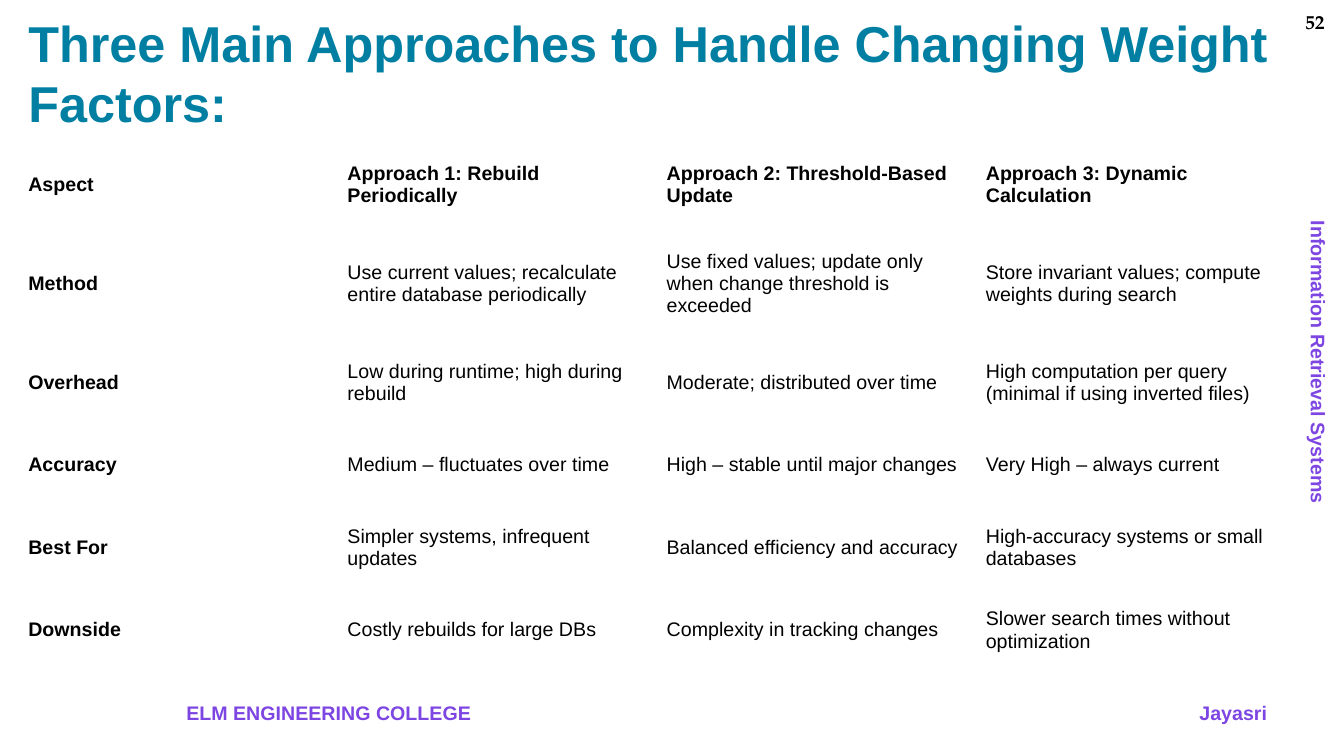
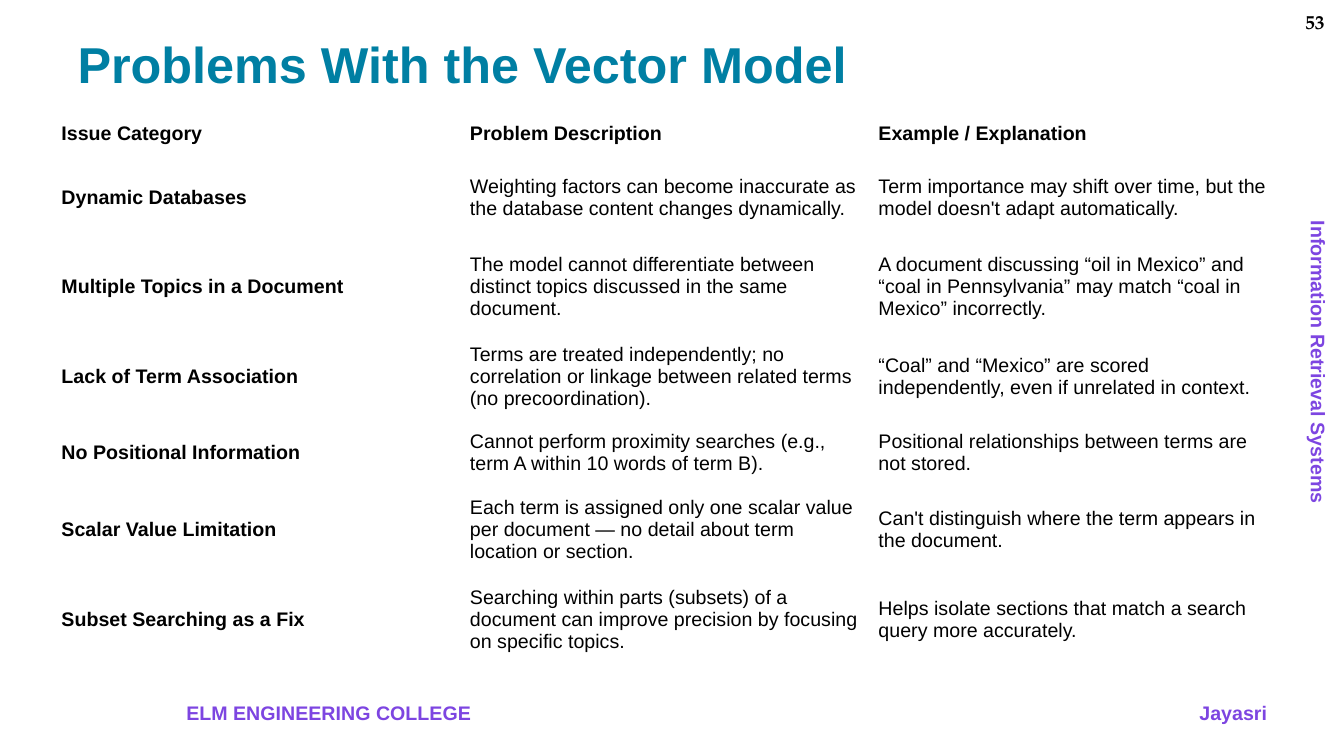
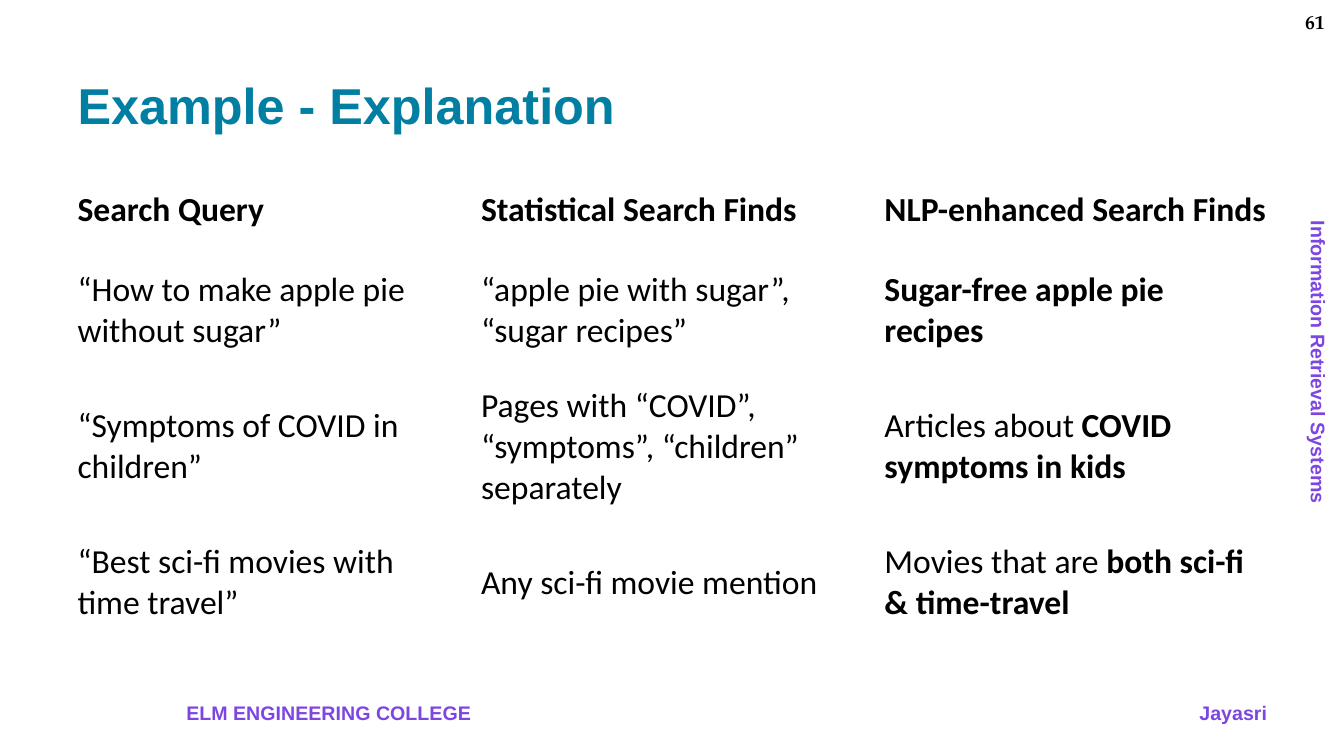
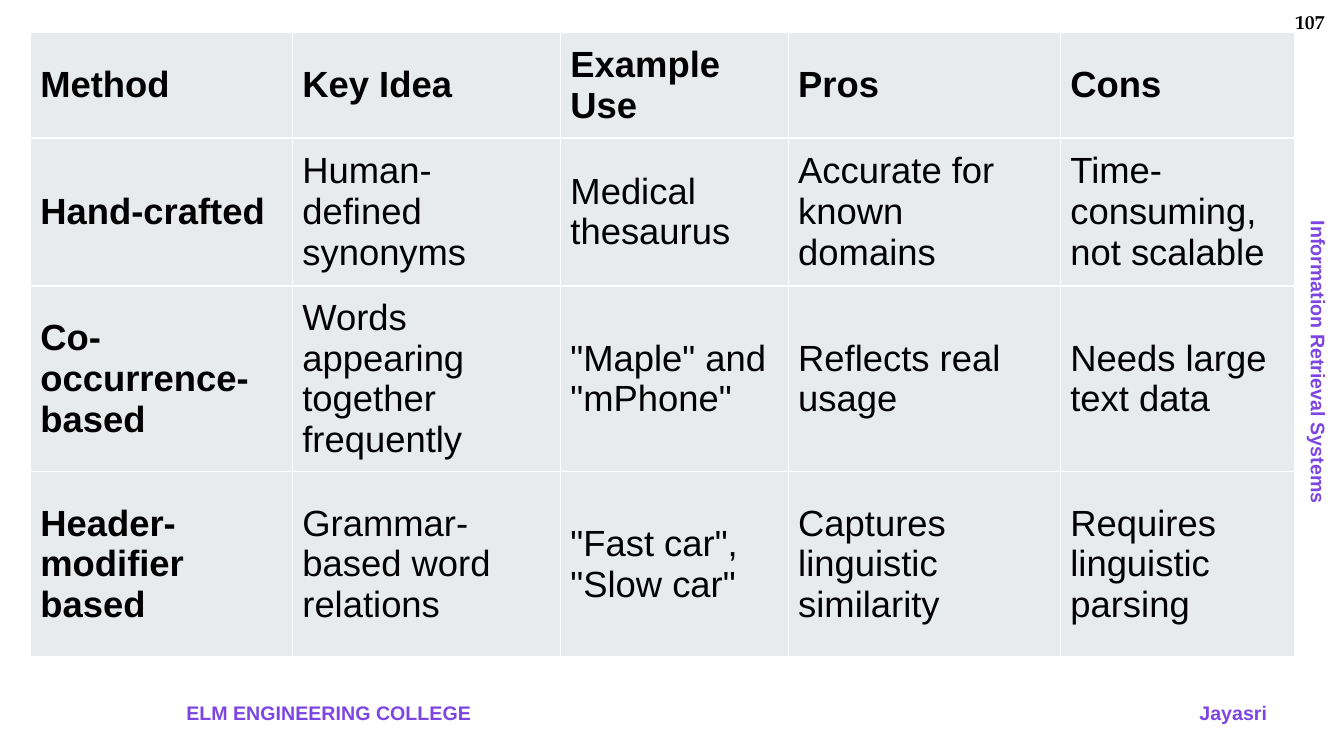
from pptx import Presentation
from pptx.dml.color import RGBColor
from pptx.enum.text import MSO_ANCHOR, MSO_AUTO_SIZE, PP_ALIGN
from pptx.util import Pt

TITLE_COLOR, FOOTER_COLOR, INK = "007FA3", "7D45E1", "000000"
WHITE, PALE_GRAY = "FFFFFF", "E8EBEC"
TITLE_ONLY, BLANK = 5, 6

# text, box (left, top, width, height), alignment, rotation
FOOTERS = [
    ("Jayasri", (651.6, 496.8, 260.6, 24.5), PP_ALIGN.RIGHT, 0),
    ("ELM ENGINEERING COLLEGE", (126, 496.8, 340.6, 24.5), PP_ALIGN.LEFT, 0),
    ("Information Retrieval Systems", (833, 247, 217.4, 24.5), PP_ALIGN.LEFT, 90),
]
NUMBER_BOX = (900, 3.6, 53.3, 24.5)

# Text between ** marks is bold; the header row is always bold.
SLIDES = [
    {
        "number": "52",
        "title": "Three Main Approaches to Handle Changing Weight Factors:",
        "title_box": (13, 15.8, 912.2, 86.4),
        "origin": (13, 102.2), "columns": [228] * 4,
        "heights": [59, 82.5] + [59] * 4,
        "font": "Arial", "size": 14, "fill": WHITE, "bold_labels": True,
        "rows": [
            ("Aspect", "Approach 1: Rebuild Periodically",
             "Approach 2: Threshold-Based Update", "Approach 3: Dynamic Calculation"),
            ("Method", "Use current values; recalculate entire database periodically",
             "Use fixed values; update only when change threshold is exceeded",
             "Store invariant values; compute weights during search"),
            ("Overhead", "Low during runtime; high during rebuild",
             "Moderate; distributed over time",
             "High computation per query (minimal if using inverted files)"),
            ("Accuracy", "Medium – fluctuates over time",
             "High – stable until major changes", "Very High – always current"),
            ("Best For", "Simpler systems, infrequent updates",
             "Balanced efficiency and accuracy", "High-accuracy systems or small databases"),
            ("Downside", "Costly rebuilds for large DBs",
             "Complexity in tracking changes", "Slower search times without optimization"),
        ],
    },
    {
        "number": "53",
        "title": "Problems With the Vector Model",
        "title_box": (48.2, 17.3, 864, 56.9),
        "origin": (36.7, 82), "columns": [291.8] * 3,
        "heights": [27, 64, 64, 64, 45.5, 64, 64],
        "font": "Arial", "size": 14, "fill": WHITE, "bold_labels": True,
        "rows": [
            ("Issue Category", "Problem Description", "Example / Explanation"),
            ("Dynamic Databases",
             "Weighting factors can become inaccurate as the database content changes dynamically.",
             "Term importance may shift over time, but the model doesn't adapt automatically."),
            ("Multiple Topics in a Document",
             "The model cannot differentiate between distinct topics discussed in the same document.",
             "A document discussing “oil in Mexico” and “coal in Pennsylvania” may match "
             "“coal in Mexico” incorrectly."),
            ("Lack of Term Association",
             "Terms are treated independently; no correlation or linkage between related terms "
             "(no precoordination).",
             "“Coal” and “Mexico” are scored independently, even if unrelated in context."),
            ("No Positional Information",
             "Cannot perform proximity searches (e.g., term A within 10 words of term B).",
             "Positional relationships between terms are not stored."),
            ("Scalar Value Limitation",
             "Each term is assigned only one scalar value per document — no detail about term "
             "location or section.",
             "Can't distinguish where the term appears in the document."),
            ("Subset Searching as a Fix",
             "Searching within parts (subsets) of a document can improve precision by focusing "
             "on specific topics.",
             "Helps isolate sections that match a search query more accurately."),
        ],
    },
    {
        "number": "61",
        "title": "Example - Explanation",
        "title_box": (48.2, 17.3, 864, 86.4),
        "origin": (48.2, 113.8), "columns": [288.2] * 3,
        "heights": [72, 72, 122.4, 72],
        "font": "Calibri", "size": 24, "fill": WHITE, "bold_labels": False,
        "rows": [
            ("Search Query", "Statistical Search Finds", "NLP-enhanced Search Finds"),
            ("“How to make apple pie without sugar”",
             "“apple pie with sugar”, “sugar recipes”", "**Sugar-free apple pie recipes**"),
            ("“Symptoms of COVID in children”",
             "Pages with “COVID”, “symptoms”, “children” separately",
             "Articles about **COVID symptoms in kids**"),
            ("“Best sci-fi movies with time travel”", "Any sci-fi movie mention",
             "Movies that are **both sci-fi & time-travel**"),
        ],
    },
    {
        "number": "107",
        "title": None,
        "origin": (21.6, 23), "columns": [187.2, 191.5, 162.7, 194.4, 167.5],
        "heights": [75.6, 105.8, 132.5, 132.5],
        "font": "Arial", "size": 26, "fill": PALE_GRAY, "bold_labels": True,
        "rows": [
            ("Method", "Key Idea", "Example Use", "Pros", "Cons"),
            ("Hand-crafted", "Human-defined synonyms", "Medical thesaurus",
             "Accurate for known domains", "Time-consuming, not scalable"),
            ("Co-occurrence-based", "Words appearing together frequently",
             '"Maple" and "mPhone"', "Reflects real usage", "Needs large text data"),
            ("Header-modifier based", "Grammar-based word relations",
             '"Fast car", "Slow car"', "Captures linguistic similarity",
             "Requires linguistic parsing"),
        ],
    },
]


def rgb(value):
    return RGBColor.from_string(value)


def points(values):
    return [Pt(value) for value in values]


def add_run(paragraph, text, font, size, color, bold):
    run = paragraph.add_run()
    run.text = text
    run.font.name, run.font.size, run.font.bold = font, Pt(size), bold
    run.font.color.rgb = rgb(color)


def add_label(slide, text, box, align, font, color, rotation=0):
    label = slide.shapes.add_textbox(*points(box))
    label.rotation = rotation
    label.text_frame.word_wrap = rotation == 0
    paragraph = label.text_frame.paragraphs[0]
    paragraph.alignment = align
    add_run(paragraph, text, font, 14, color, True)
    return label


def add_master_footers(prs, slide):
    """Build the footers on a slide, then move them to the master all slides share."""
    for text, box, align, rotation in FOOTERS:
        label = add_label(slide, text, box, align, "Arial", FOOTER_COLOR, rotation)
        prs.slide_master.shapes.element.append(label.element)


def set_title(slide, text, box):
    title = slide.shapes.title
    title.left, title.top, title.width, title.height = points(box)
    frame = title.text_frame
    frame.word_wrap, frame.auto_size = True, MSO_AUTO_SIZE.NONE
    frame.vertical_anchor = MSO_ANCHOR.BOTTOM
    frame.margin_left = frame.margin_right = frame.margin_top = frame.margin_bottom = Pt(7.2)
    frame.paragraphs[0].alignment = PP_ALIGN.LEFT
    add_run(frame.paragraphs[0], text, "Arial", 36, TITLE_COLOR, True)


def add_comparison(slide, content):
    rows, widths, heights = content["rows"], content["columns"], content["heights"]
    box = (*content["origin"], sum(widths), sum(heights))
    table = slide.shapes.add_table(len(rows), len(widths), *points(box)).table
    table.first_row = table.horz_banding = False
    for column, width in zip(table.columns, widths):
        column.width = Pt(width)
    for r, (row, height) in enumerate(zip(rows, heights)):
        table.rows[r].height = Pt(height)
        for c, text in enumerate(row):
            cell = table.cell(r, c)
            cell.fill.solid()
            cell.fill.fore_color.rgb = rgb(content["fill"])
            cell.vertical_anchor = MSO_ANCHOR.MIDDLE
            heading = r == 0 or (c == 0 and content["bold_labels"])
            for i, part in enumerate(text.split("**")):
                if part:
                    add_run(cell.text_frame.paragraphs[0], part, content["font"],
                            content["size"], INK, heading or i % 2 == 1)


def main():
    prs = Presentation()
    prs.slide_width, prs.slide_height = Pt(960), Pt(540)
    for content in SLIDES:
        layout = TITLE_ONLY if content["title"] else BLANK
        slide = prs.slides.add_slide(prs.slide_layouts[layout])
        if content is SLIDES[0]:
            add_master_footers(prs, slide)
        add_label(slide, content["number"], NUMBER_BOX, PP_ALIGN.RIGHT,
                  "TeX Gyre Pagella", INK)
        if content["title"]:
            set_title(slide, content["title"], content["title_box"])
        add_comparison(slide, content)
    prs.save("out.pptx")


if __name__ == "__main__":
    main()
